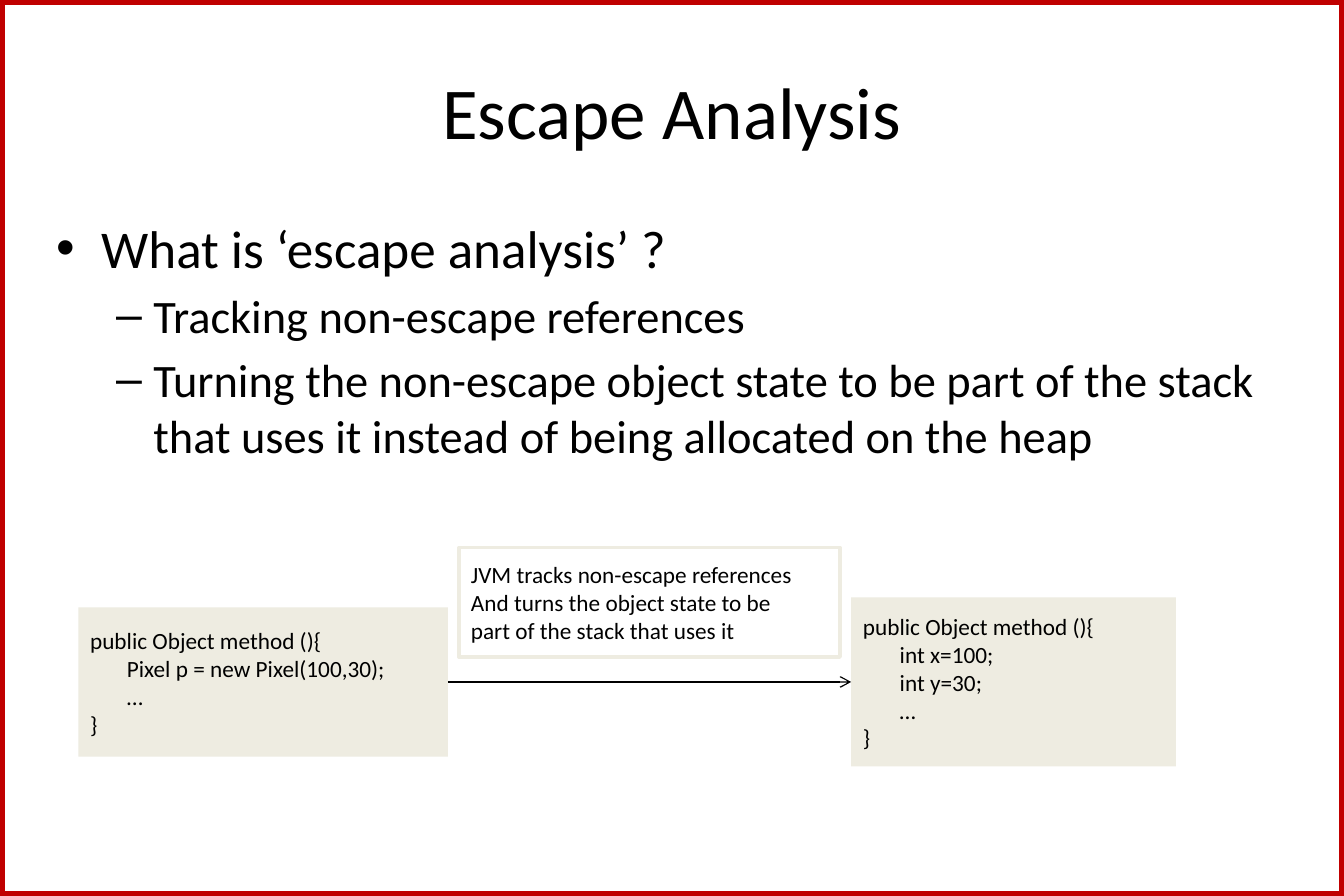
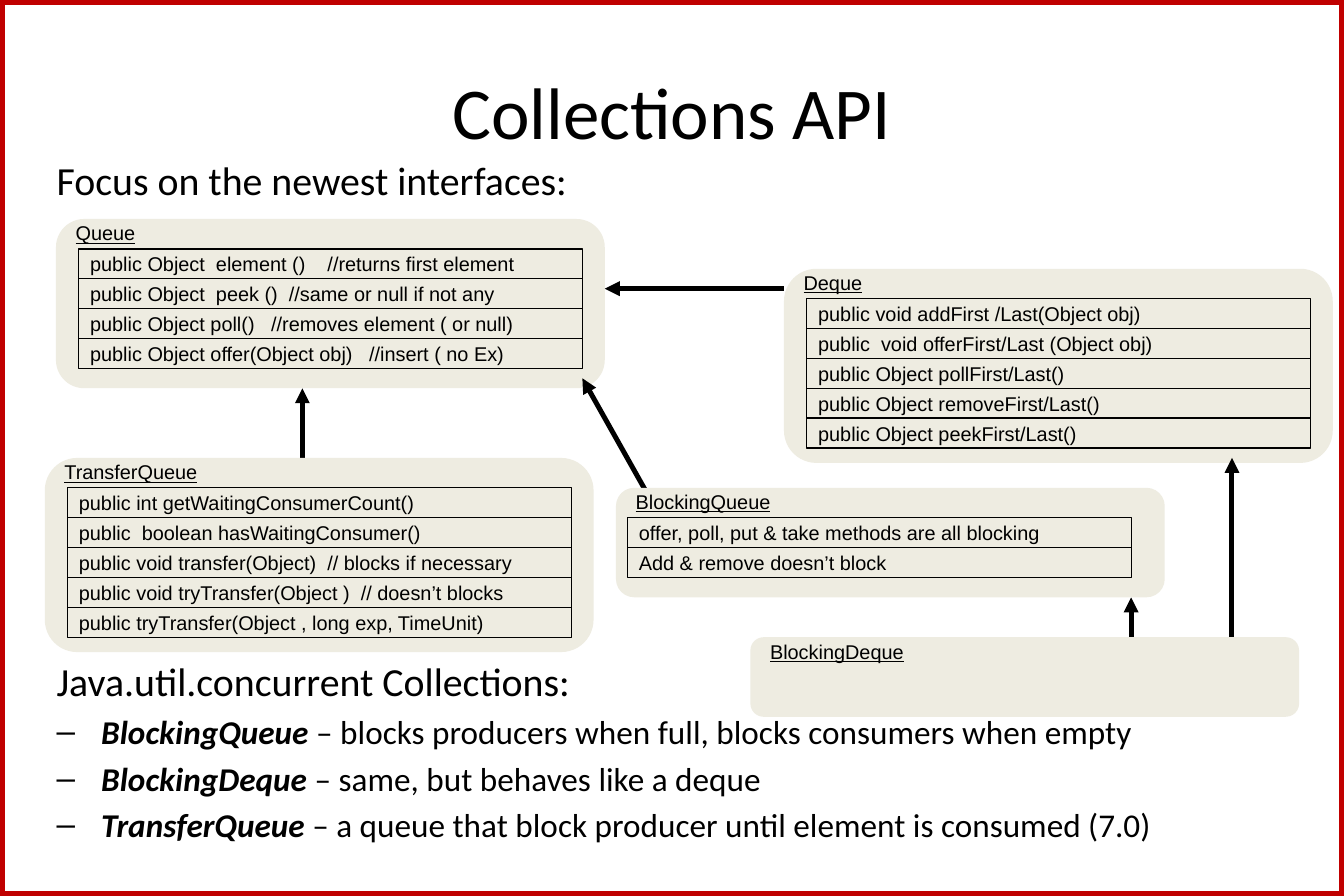
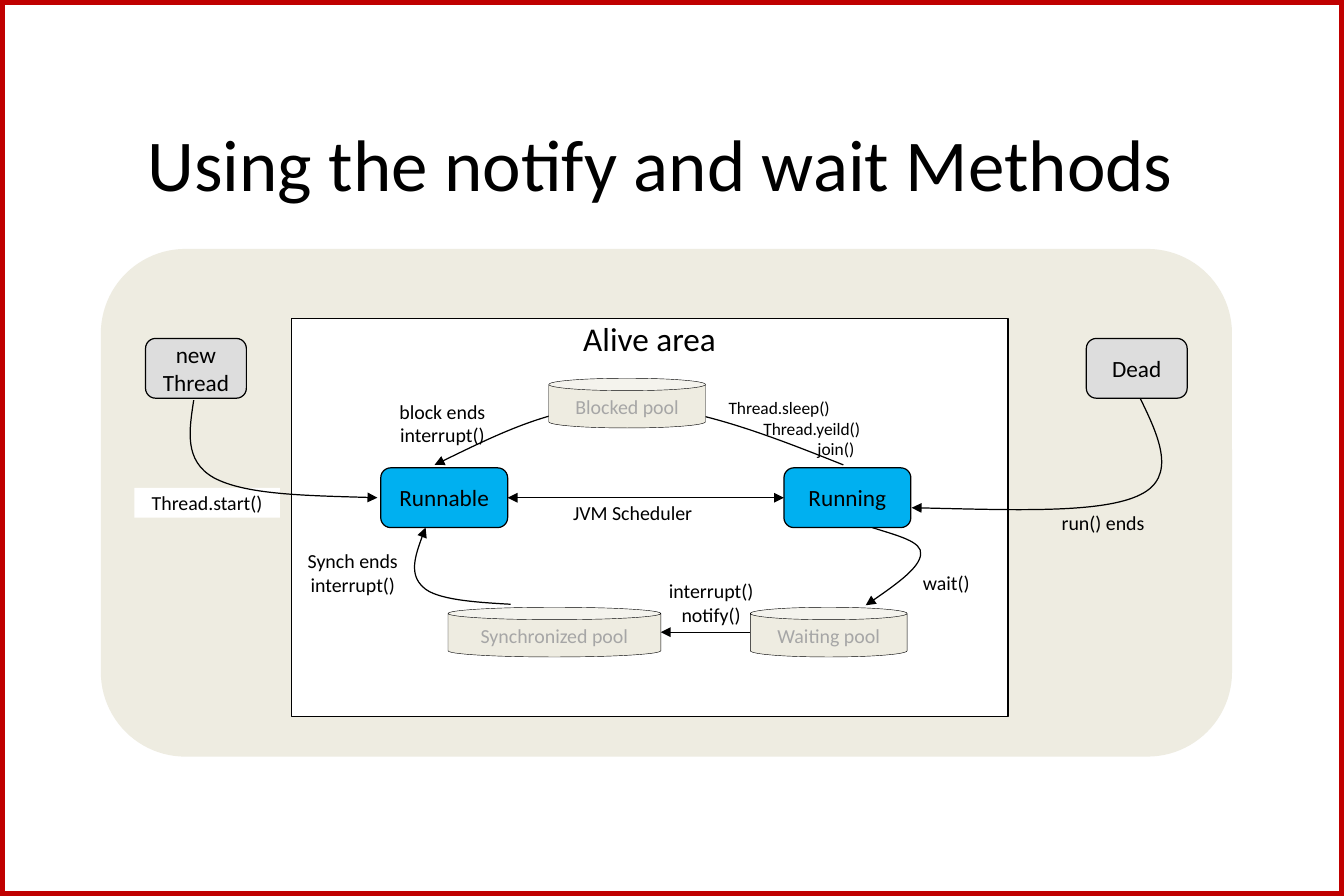
from dataclasses import dataclass

from lxml.etree import SubElement
from pptx import Presentation
from pptx.dml.color import RGBColor
from pptx.enum.shapes import MSO_CONNECTOR, MSO_SHAPE
from pptx.enum.text import MSO_ANCHOR, PP_ALIGN
from pptx.oxml.ns import qn
from pptx.util import Cm, Pt


@dataclass(frozen=True)
class Theme:
    text: str = "000000"
    frame: str = "C00000"
    panel: str = "EEECE1"
    paper: str = "FFFFFF"
    idle: str = "DDDDDD"
    active: str = "00B0F0"
    muted: str = "A6A6A6"
    body_font: str = "Calibri"
    code_font: str = "Arial"
    title: float = 44
    lead: float = 32
    point: float = 28
    heading: float = 24
    item: float = 20
    state: float = 14
    label: float = 12
    small: float = 10.5
    hairline: float = 0.25
    thin: float = 0.75
    border: float = 2.25
    thick: float = 3
    frame_width: float = 5.5


THEME = Theme()
SLIDE_WIDTH = Cm(28.58)
SLIDE_HEIGHT = Cm(19.05)
COLUMN = SLIDE_WIDTH / 120
ROW = SLIDE_HEIGHT / 90


@dataclass(frozen=True)
class Box:
    """A region measured in grid columns and rows."""
    left: float
    top: float
    width: float
    height: float

    def inside(self, left, top, width, height):
        return Box(self.left + left, self.top + top, width, height)

    def point(self, column, row):
        return round((self.left + column) * COLUMN), round((self.top + row) * ROW)

    def lengths(self):
        return (*self.point(0, 0), round(self.width * COLUMN), round(self.height * ROW))


def style(paragraph, size, font=THEME.body_font, color=THEME.text):
    paragraph.font.name = font
    paragraph.font.size = Pt(size)
    paragraph.font.color.rgb = RGBColor.from_string(color)


def add_paragraph(frame, index):
    return frame.add_paragraph() if index else frame.paragraphs[0]


def write(shape, lines, size, font=THEME.body_font, color=THEME.text,
          align=PP_ALIGN.LEFT, anchor=MSO_ANCHOR.MIDDLE, underline=False, indents=()):
    frame = shape.text_frame
    frame.word_wrap = True
    frame.vertical_anchor = anchor
    frame.margin_top = frame.margin_bottom = 0
    for index, line in enumerate(lines):
        paragraph = add_paragraph(frame, index)
        paragraph.text = line
        paragraph.alignment = align
        if indents:
            paragraph._p.get_or_add_pPr().set("marL", str(Cm(indents[index])))
        style(paragraph, size, font, color)
        if underline:
            paragraph.font.underline = True


def add_text(slide, box, lines, size, **options):
    shape = slide.shapes.add_textbox(*box.lengths())
    write(shape, lines, size, **options)
    return shape


def add_block(slide, kind, box, fill=None, line=None, width=THEME.thin):
    shape = slide.shapes.add_shape(kind, *box.lengths())
    shape.shadow.inherit = False
    if fill:
        shape.fill.solid()
        shape.fill.fore_color.rgb = RGBColor.from_string(fill)
    else:
        shape.fill.background()
    outline(shape, line, width)
    return shape


def outline(shape, color, width):
    if color:
        shape.line.color.rgb = RGBColor.from_string(color)
        shape.line.width = Pt(width)
    else:
        shape.line.fill.background()


def add_arrowhead(shape, end="tailEnd", kind="triangle"):
    SubElement(shape.line._get_or_add_ln(), qn(f"a:{end}"), type=kind)


def add_arrow(slide, start, end, width=THEME.thin, kind="triangle", both=False):
    connector = slide.shapes.add_connector(MSO_CONNECTOR.STRAIGHT, *start, *end)
    outline(connector, THEME.text, width)
    SubElement(connector.element.spPr, qn("a:effectLst"))
    if both:
        add_arrowhead(connector, "headEnd")
    add_arrowhead(connector, kind=kind)
    return connector


def add_curve(slide, box, points):
    start, *rest = [box.point(*point) for point in points]
    builder = slide.shapes.build_freeform(*start)
    builder.add_line_segments(rest, close=False)
    shape = builder.convert_to_shape()
    shape.shadow.inherit = False
    shape.fill.background()
    outline(shape, THEME.text, THEME.thin)
    add_arrowhead(shape)
    geometry = shape.element.find(f".//{qn('a:path')}")
    segments = geometry.findall(qn("a:lnTo"))
    for first, second, third in zip(segments[::3], segments[1::3], segments[2::3]):
        first.tag = qn("a:cubicBezTo")
        for segment in (second, third):
            first.append(segment[0])
            geometry.remove(segment)


def add_bullet(paragraph, mark, margin, hanging):
    properties = paragraph._p.get_or_add_pPr()
    properties.set("marL", str(Cm(margin)))
    properties.set("indent", str(-Cm(hanging)))
    SubElement(properties, qn("a:buFont"), typeface="Arial")
    SubElement(properties, qn("a:buChar"), char=mark)


def add_slide(presentation, title, title_box):
    slide = presentation.slides.add_slide(presentation.slide_layouts[6])
    add_block(slide, MSO_SHAPE.RECTANGLE, Box(0, 0, 120, 90),
              line=THEME.frame, width=THEME.frame_width)
    add_text(slide, title_box, [title], THEME.title, align=PP_ALIGN.CENTER)
    return slide


def add_definition(slide, box):
    frame = slide.shapes.add_textbox(*box.lengths()).text_frame
    frame.word_wrap = True
    lines = [
        ("What is ‘escape analysis’ ?", THEME.lead, "•", 0.95, 0.95),
        ("Tracking non-escape references", THEME.point, "–", 2.06, 0.79),
        ("Turning the non-escape object state to be part of the stack that uses it "
         "instead of being allocated on the heap", THEME.point, "–", 2.06, 0.79),
    ]
    for index, (text, size, mark, margin, hanging) in enumerate(lines):
        paragraph = add_paragraph(frame, index)
        paragraph.text = text
        if index:
            paragraph.space_before = Pt(5)
        add_bullet(paragraph, mark, margin, hanging)
        style(paragraph, size)


def add_stack_diagram(slide, box):
    before = add_block(slide, MSO_SHAPE.RECTANGLE, box.inside(0, 6, 33, 15), THEME.panel)
    write(before, ["public Object method (){", "       Pixel p = new Pixel(100,30);",
                   "       …", "}"], THEME.state)
    after = add_block(slide, MSO_SHAPE.RECTANGLE, box.inside(69, 5, 29, 17), THEME.panel)
    write(after, ["public Object method (){", "       int x=100;", "       int y=30;",
                  "       …", "}"], THEME.state)
    arrow = add_arrow(slide, box.point(33, 13.5), box.point(69, 13.5), kind="arrow")
    arrow.begin_connect(before, 3)
    arrow.end_connect(after, 1)
    note = add_block(slide, MSO_SHAPE.RECTANGLE, box.inside(34, 0, 34, 11),
                     line=THEME.panel, width=THEME.border)
    write(note, ["JVM tracks non-escape references", "And turns the object state to be",
                 "part of the stack that uses it"], THEME.state)


def add_interface(slide, box, name, methods=(), inset=2):
    add_block(slide, MSO_SHAPE.FLOWCHART_ALTERNATE_PROCESS, box, THEME.panel)
    add_text(slide, box.inside(0.7, 0, 40, 2.8), [name], THEME.label,
             font=THEME.code_font, underline=True)
    for index, method in enumerate(methods):
        row = add_block(slide, MSO_SHAPE.RECTANGLE,
                        box.inside(inset, 3 + 3 * index, 45, 3), line=THEME.text)
        write(row, [method], THEME.label, font=THEME.code_font)


def add_interface_diagram(slide, box):
    add_interface(slide, box.inside(1, 0, 49, 17), "Queue", [
        "public Object  element ()    //returns first element",
        "public Object  peek ()  //same or null if not any",
        "public Object poll()   //removes element ( or null)",
        "public Object offer(Object obj)   //insert ( no Ex)",
    ])
    add_interface(slide, box.inside(66, 5, 49, 19.5), "Deque", [
        "public void addFirst /Last(Object obj)",
        "public  void offerFirst/Last (Object obj)",
        "public Object pollFirst/Last()",
        "public Object removeFirst/Last()",
        "public Object peekFirst/Last()",
    ])
    for start, end in [((66, 7), (50, 7)), ((23, 25), (23, 17)), ((54, 28), (48, 16)),
                       ((106, 42), (106, 24)), ((97, 46), (97, 38))]:
        add_arrow(slide, box.point(*start), box.point(*end), THEME.thick)
    add_interface(slide, box.inside(0, 24, 49, 19.5), "TransferQueue", [
        "public int getWaitingConsumerCount()",
        "public  boolean hasWaitingConsumer()",
        "public void transfer(Object)  // blocks if necessary",
        "public void tryTransfer(Object )  // doesn’t blocks",
        "public tryTransfer(Object , long exp, TimeUnit)",
    ])
    add_interface(slide, box.inside(51, 27, 49, 11), "BlockingQueue", [
        "offer, poll, put & take methods are all blocking",
        "Add & remove doesn’t block",
    ], inset=1)
    add_interface(slide, box.inside(63, 42, 49, 8), "BlockingDeque")


def add_collection_list(slide, box):
    frame = slide.shapes.add_textbox(*box.lengths()).text_frame
    frame.word_wrap = True
    heading = frame.paragraphs[0]
    heading.text = "Java.util.concurrent Collections:"
    style(heading, THEME.heading)
    for name, meaning in [
        ("BlockingQueue", " – blocks producers when full, blocks consumers when empty"),
        ("BlockingDeque", " – same, but behaves like a deque"),
        ("TransferQueue", " – a queue that block producer until element is consumed (7.0)"),
    ]:
        paragraph = frame.add_paragraph()
        paragraph.space_before = Pt(4)
        add_bullet(paragraph, "–", 0.95, 0.95)
        style(paragraph, THEME.item)
        term = paragraph.add_run()
        term.text = name
        term.font.bold = term.font.italic = True
        paragraph.add_run().text = meaning


def add_state(slide, box, lines, fill):
    state = add_block(slide, MSO_SHAPE.FLOWCHART_ALTERNATE_PROCESS, box, fill, THEME.text)
    write(state, lines, THEME.state, align=PP_ALIGN.CENTER)
    state.text_frame.margin_left = state.text_frame.margin_right = Cm(0.1)
    return state


def add_pool(slide, box, name):
    pool = add_block(slide, MSO_SHAPE.CAN, box, THEME.panel, THEME.text, THEME.hairline)
    write(pool, [name], THEME.label, color=THEME.muted, align=PP_ALIGN.CENTER)


def add_thread_diagram(slide, box):
    add_block(slide, MSO_SHAPE.FLOWCHART_ALTERNATE_PROCESS, box, THEME.panel)
    alive = add_block(slide, MSO_SHAPE.RECTANGLE, box.inside(17, 7, 64, 40),
                      THEME.paper, THEME.text)
    write(alive, ["Alive area"], THEME.item, align=PP_ALIGN.CENTER, anchor=MSO_ANCHOR.TOP)

    for area, text in [((3, 24, 13, 3), "Thread.start()"), ((41, 25, 13, 3), "JVM Scheduler")]:
        tag = add_block(slide, MSO_SHAPE.RECTANGLE, box.inside(*area), THEME.paper)
        write(tag, [text], THEME.label, align=PP_ALIGN.CENTER)

    add_state(slide, box.inside(4, 9, 9, 6), ["new", "Thread"], THEME.idle)
    runnable = add_state(slide, box.inside(25, 22, 11.33, 6), ["Runnable"], THEME.active)
    running = add_state(slide, box.inside(61, 22, 11.33, 6), ["Running"], THEME.active)
    add_state(slide, box.inside(88, 9, 9, 6), ["Dead"], THEME.idle)

    add_text(slide, box.inside(55, 13, 18, 10),
             ["Thread.sleep()", "Thread.yeild()", "join()"],
             THEME.small, indents=(0, 0.74, 1.89))

    for points in [
        [(8.3, 15.2), (7.9, 18.2), (7.4, 21.3), (10.1, 23),
         (12.9, 24.7), (18.8, 24.8), (24.7, 25)],
        [(92.8, 15), (94.5, 18.9), (96.1, 22.9), (92.8, 24.7),
         (89.4, 26.6), (80.9, 26.2), (72.4, 26)],
        [(66.3, 21.7), (59.6, 18.7), (52.8, 15.7), (46.7, 15.7),
         (40.6, 15.7), (35.3, 18.7), (29.8, 21.7)],
        [(68.9, 28), (71.1, 28.8), (73.4, 29.4), (73.2, 30.7),
         (73.1, 32), (70.8, 33.9), (68.3, 35.8)],
        [(36.6, 35.7), (33.2, 35.5), (29.9, 35.2), (28.8, 34),
         (27.5, 32.7), (28.2, 30.3), (29, 28)],
    ]:
        add_curve(slide, box, points)

    add_pool(slide, box.inside(40, 13, 14, 5), "Blocked pool")
    add_pool(slide, box.inside(58, 36, 14, 5), "Waiting pool")
    add_pool(slide, box.inside(31, 36, 19, 5), "Synchronized pool")

    scheduler = add_arrow(slide, box.point(36.33, 25), box.point(61, 25), both=True)
    scheduler.begin_connect(runnable, 3)
    scheduler.end_connect(running, 1)
    add_arrow(slide, box.point(58, 38.5), box.point(50, 38.5))

    for area, lines in [
        ((83, 26, 13, 3), ["run() ends"]),
        ((69, 32, 13, 3), ["wait()"]),
        ((48, 33, 13, 5), ["interrupt()", "notify()"]),
        ((15, 30, 15, 5), ["Synch ends", "interrupt()"]),
        ((23, 15, 15, 5), ["block ends", "interrupt()"]),
    ]:
        add_text(slide, box.inside(*area), lines, THEME.label, align=PP_ALIGN.CENTER)


def main():
    presentation = Presentation()
    presentation.slide_width = SLIDE_WIDTH
    presentation.slide_height = SLIDE_HEIGHT
    title_box = Box(6, 3.6, 108, 15)

    slide = add_slide(presentation, "Escape Analysis", title_box)
    add_definition(slide, Box(4, 21, 110, 32))
    add_stack_diagram(slide, Box(7, 55, 98, 22))

    slide = add_slide(presentation, "Collections API", title_box)
    add_text(slide, Box(4, 15.6, 112, 5), ["Focus on the newest interfaces:"],
             THEME.heading, anchor=MSO_ANCHOR.TOP)
    add_interface_diagram(slide, Box(4, 22, 115, 50))
    add_collection_list(slide, Box(4, 65.4, 114, 20))

    slide = add_slide(presentation, "Using the notify and wait Methods", Box(0, 11, 118, 10.5))
    add_thread_diagram(slide, Box(9, 25, 101, 51))

    presentation.save("out.pptx")


if __name__ == "__main__":
    main()
